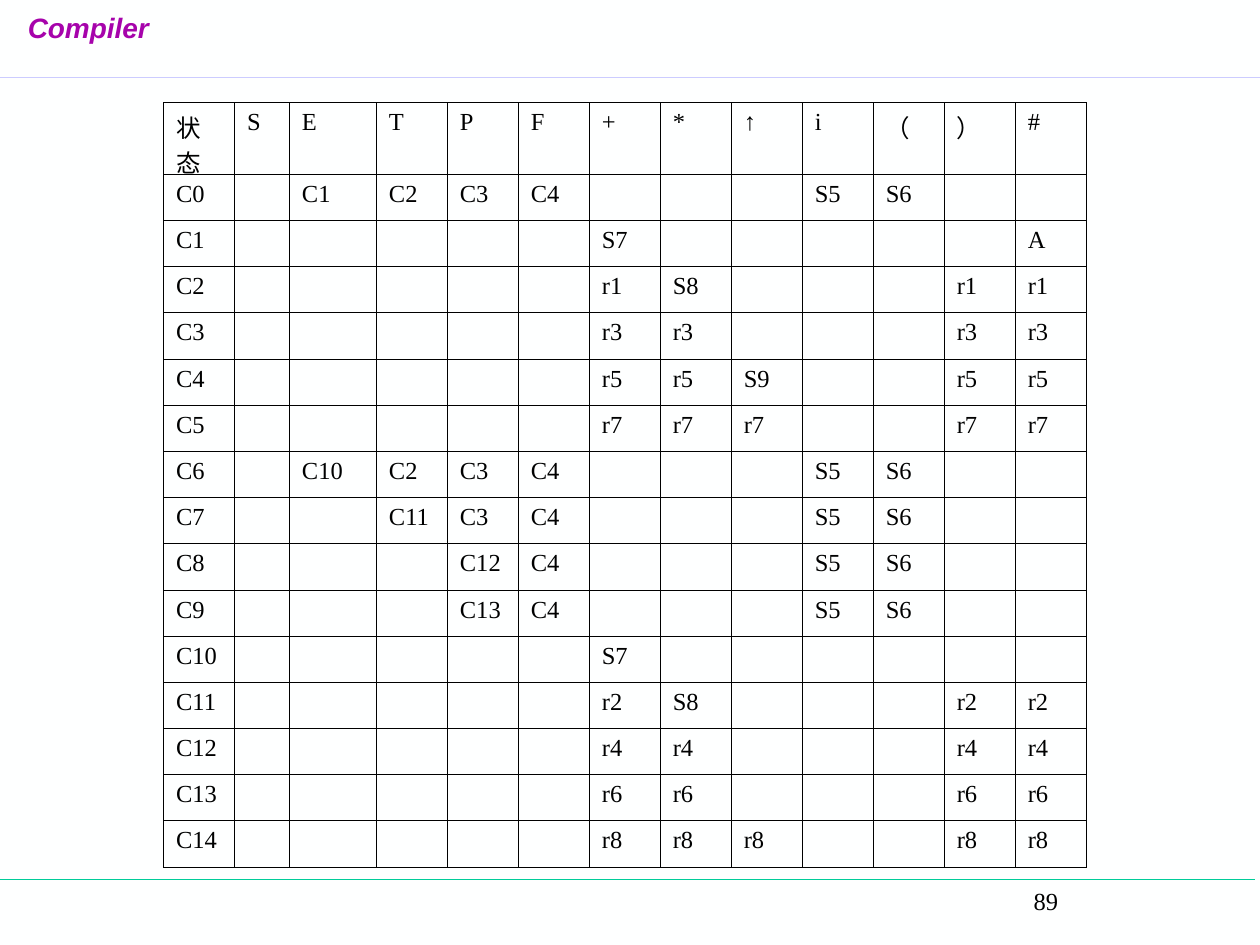
"""Build the LR parsing table slide of a compiler course."""
import dataclasses

import lxml.etree
import pptx
import pptx.dml.color
import pptx.enum.shapes
import pptx.oxml.ns
import pptx.util

Pt = pptx.util.Pt
qn = pptx.oxml.ns.qn

BLANK = "-"
PARSING_TABLE = """
状态 S E T P F + * ↑ i （ ） #
C0 - C1 C2 C3 C4 - - - S5 S6 - -
C1 - - - - - S7 - - - - - A
C2 - - - - - r1 S8 - - - r1 r1
C3 - - - - - r3 r3 - - - r3 r3
C4 - - - - - r5 r5 S9 - - r5 r5
C5 - - - - - r7 r7 r7 - - r7 r7
C6 - C10 C2 C3 C4 - - - S5 S6 - -
C7 - - C11 C3 C4 - - - S5 S6 - -
C8 - - - C12 C4 - - - S5 S6 - -
C9 - - - C13 C4 - - - S5 S6 - -
C10 - - - - - S7 - - - - - -
C11 - - - - - r2 S8 - - - r2 r2
C12 - - - - - r4 r4 - - - r4 r4
C13 - - - - - r6 r6 - - - r6 r6
C14 - - - - - r8 r8 r8 - - r8 r8
"""


@dataclasses.dataclass(frozen=True)
class Theme:
    background: str = "FEFFFF"
    ink: str = "000000"
    heading: str = "A603AB"
    top_rule: str = "CCCCFF"
    bottom_rule: str = "00CC99"
    heading_font: str = "Arial"
    body_font: str = "Times New Roman"
    heading_size: float = 16
    body_size: float = 14
    rule: float = 1
    border: float = 0.45


def rgb(value):
    return pptx.dml.color.RGBColor.from_string(value)


class SlideBuilder:
    def __init__(self, slide, theme):
        self.slide = slide
        self.theme = theme
        slide.background.fill.solid()
        slide.background.fill.fore_color.rgb = rgb(theme.background)

    def style(self, paragraph, font, size, color, emphasis=None):
        for run in paragraph.runs:
            run.font.name = font
            run.font.size = Pt(size)
            run.font.color.rgb = rgb(color)
            run.font.bold = run.font.italic = emphasis

    def rule(self, right, y, color):
        line = self.slide.shapes.add_connector(
            pptx.enum.shapes.MSO_CONNECTOR.STRAIGHT, Pt(0), Pt(y), Pt(right), Pt(y))
        line.line.color.rgb = rgb(color)
        line.line.width = Pt(self.theme.rule)
        lxml.etree.SubElement(line._element.spPr, qn("a:effectLst"))
        line._element.remove(line._element.find(qn("p:style")))

    def text(self, content, left, top, width, height, insets=(7.2, 7.2), indent=0, **style):
        box = self.slide.shapes.add_textbox(Pt(left), Pt(top), Pt(width), Pt(height))
        frame = box.text_frame
        frame.word_wrap = True
        frame.margin_left, frame.margin_right = map(Pt, insets)
        frame.text = content
        paragraph = frame.paragraphs[0]
        if indent:
            paragraph._p.get_or_add_pPr().set("marL", str(Pt(indent)))
        self.style(paragraph, **style)

    def border(self, cell):
        properties = cell._tc.get_or_add_tcPr()
        for position, side in enumerate(("lnL", "lnR", "lnT", "lnB")):
            edge = lxml.etree.Element(qn(f"a:{side}"), w=str(Pt(self.theme.border)))
            fill = lxml.etree.SubElement(edge, qn("a:solidFill"))
            lxml.etree.SubElement(fill, qn("a:srgbClr"), val=self.theme.ink)
            properties.insert(position, edge)

    def table(self, rows, left, top, widths, heights):
        grid = self.slide.shapes.add_table(
            len(heights), len(widths), Pt(left), Pt(top), Pt(sum(widths)), Pt(sum(heights))).table
        grid.first_row = grid.horz_banding = False
        for column, width in zip(grid.columns, widths):
            column.width = Pt(width)
        for row, height, entries in zip(grid.rows, heights, rows):
            row.height = Pt(height)
            for cell, entry in zip(row.cells, entries):
                self.entry(cell, "" if entry == BLANK else entry)

    def entry(self, cell, content):
        theme = self.theme
        cell.fill.background()
        self.border(cell)
        cell.text_frame.text = content
        paragraph = cell.text_frame.paragraphs[0]
        self.style(paragraph, theme.body_font, theme.body_size, theme.ink)
        if not content:
            ending = lxml.etree.SubElement(paragraph._p, qn("a:endParaRPr"))
            ending.set("sz", str(int(theme.body_size * 100)))


def main():
    deck = pptx.Presentation()
    deck.slide_width, deck.slide_height = Pt(720), Pt(540)
    theme = Theme()
    page = SlideBuilder(deck.slides.add_slide(deck.slide_layouts[6]), theme)

    page.rule(717.1, 502.5, theme.bottom_rule)
    page.rule(720, 44.3, theme.top_rule)
    page.text("Compiler", 13.7, 2.3, 73.4, 40.3, insets=(2.2, 0), font=theme.heading_font,
              size=theme.heading_size, color=theme.heading, emphasis=True)
    page.text("89", 496.1, 502.5, 221, 36, indent=87.5, font=theme.body_font,
              size=theme.body_size, color=theme.ink)

    rows = [line.split() for line in PARSING_TABLE.strip().splitlines()]
    symbol_width = 40.57
    widths = [symbol_width, 31.4, 49.7] + [symbol_width] * (len(rows[0]) - 3)
    heights = [41.1] + [26.4] * (len(rows) - 1)
    page.table(rows, 93.4, 58.5, widths, heights)
    deck.save("out.pptx")


if __name__ == "__main__":
    main()
